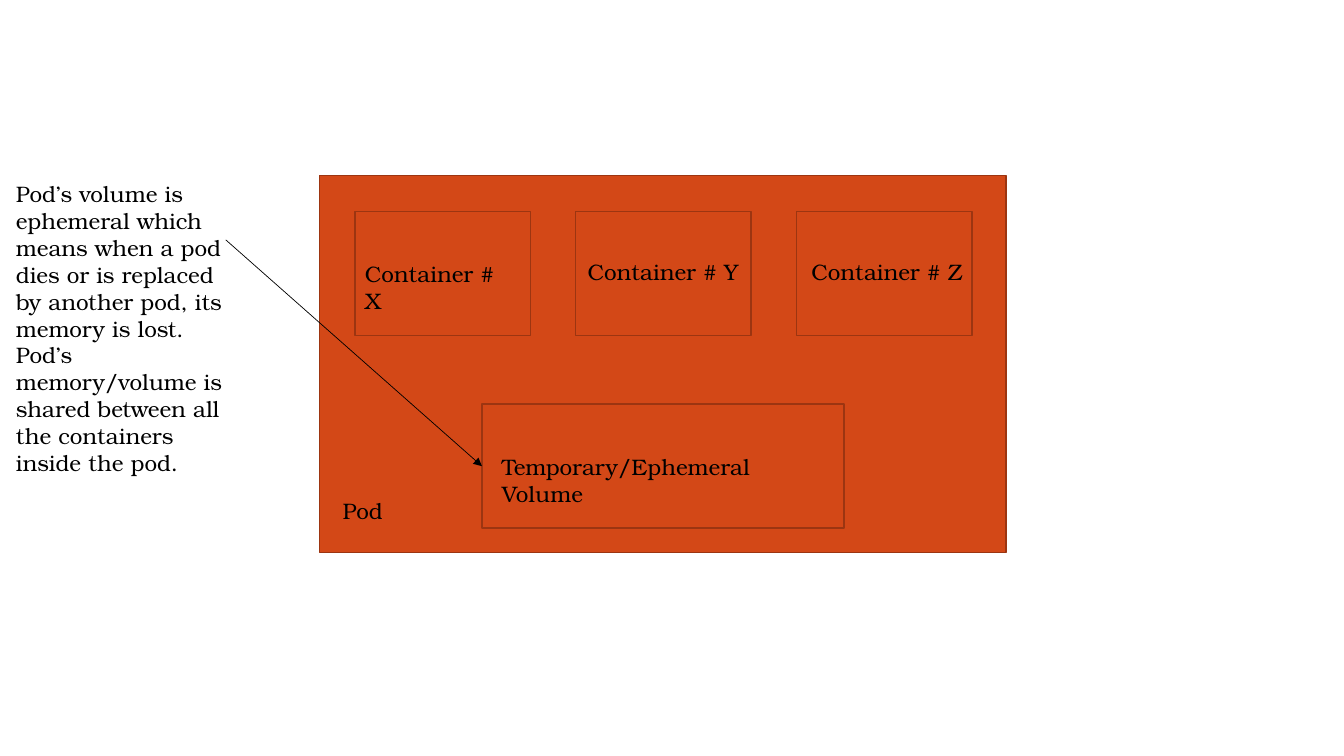
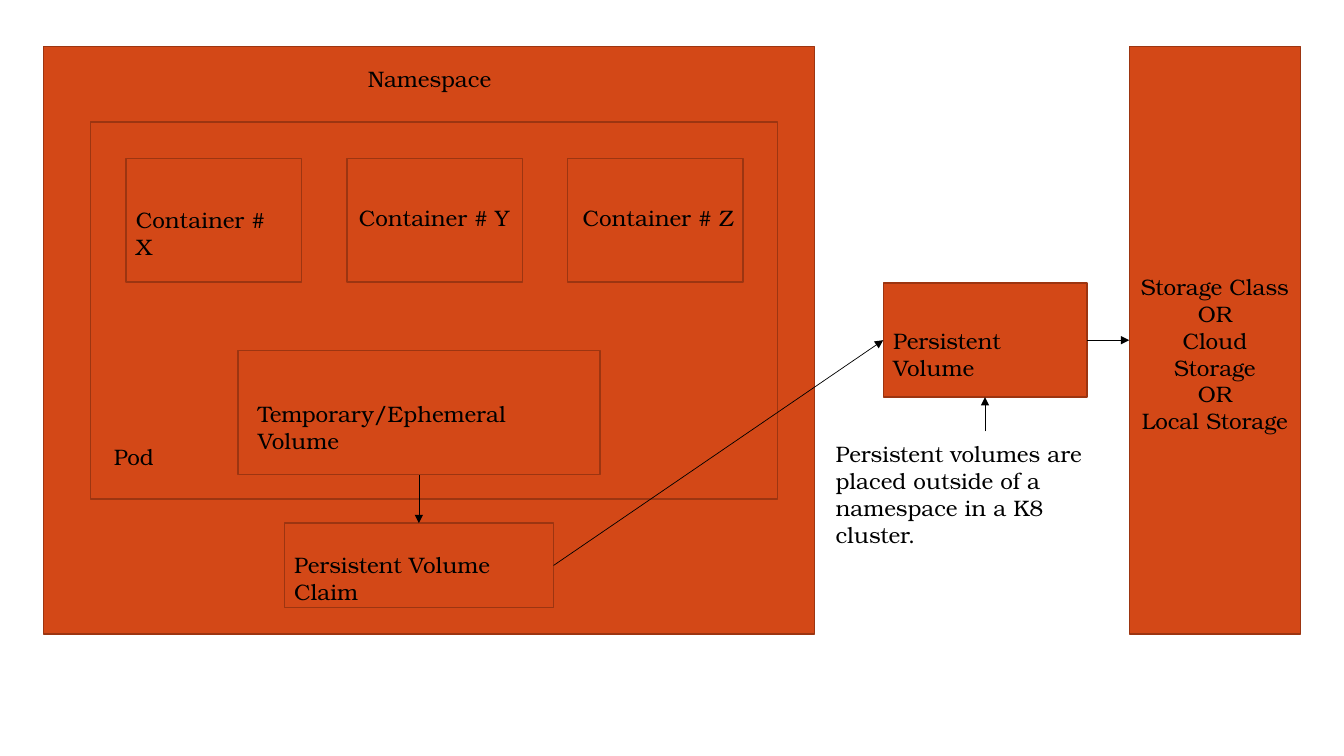
from dataclasses import dataclass

from lxml import etree
from pptx import Presentation
from pptx.dml.color import RGBColor
from pptx.enum.shapes import MSO_CONNECTOR, MSO_SHAPE
from pptx.enum.text import MSO_ANCHOR, MSO_AUTO_SIZE, PP_ALIGN
from pptx.oxml.ns import qn
from pptx.util import Inches, Pt

RECT = MSO_SHAPE.RECTANGLE
STRAIGHT = MSO_CONNECTOR.STRAIGHT
TOP = MSO_ANCHOR.TOP
GROW = MSO_AUTO_SIZE.SHAPE_TO_FIT_TEXT
LEFT, CENTER = PP_ALIGN.LEFT, PP_ALIGN.CENTER

# Connection sites of a rectangle
SITE_TOP, SITE_LEFT, SITE_BOTTOM, SITE_RIGHT = range(4)


@dataclass(frozen=True)
class Theme:
    fill: RGBColor = RGBColor(0xD3, 0x48, 0x17)
    edge: RGBColor = RGBColor(0x9C, 0x35, 0x11)
    ink: RGBColor = RGBColor(0, 0, 0)
    font: str = "TeX Gyre Bonum"
    size: Pt = Pt(16)
    edge_width: Pt = Pt(1)
    arrow_width: Pt = Pt(0.5)
    label_height: float = 0.37


THEME = Theme()


# Basic parts
def add_box(s, x, y, w, h):
    sp = s.shapes.add_shape(RECT, Inches(x), Inches(y), Inches(w), Inches(h))
    sp.shadow.inherit = False
    sp.fill.solid()
    sp.fill.fore_color.rgb = THEME.fill
    sp.line.color.rgb = THEME.edge
    sp.line.width = THEME.edge_width
    return sp


def add_label(s, text, x, y, w, h=THEME.label_height, align=LEFT):
    sp = s.shapes.add_textbox(Inches(x), Inches(y), Inches(w), Inches(h))
    tf = sp.text_frame
    tf.word_wrap = True
    tf.auto_size = GROW
    tf.vertical_anchor = TOP
    p = tf.paragraphs[0]
    p.alignment = align
    for i, line in enumerate(text.split("\n")):
        if i:
            p.add_line_break()
        r = p.add_run()
        r.text = line
        r.font.name = THEME.font
        r.font.size = THEME.size
        r.font.color.rgb = THEME.ink
    p.font.size = THEME.size
    return sp


def add_arrow(s, target, target_site, source=None, source_site=None, start=(0, 0)):
    """Arrow into a box, from another box or from a free start point."""
    x, y = (Inches(v) for v in start)
    line = s.shapes.add_connector(STRAIGHT, x, y, x, y)
    if source is not None:
        line.begin_connect(source, source_site)
    line.end_connect(target, target_site)
    line.line.color.rgb = THEME.ink
    line.line.width = THEME.arrow_width
    ln = line.line._get_or_add_ln()
    etree.SubElement(ln, qn("a:tailEnd"), type="triangle")
    etree.SubElement(line._element.spPr, qn("a:effectLst"))
    return line


# Pod with its containers and its volume
def add_pod(s, x, y, volume_dx):
    add_box(s, x, y, 6.81, 3.74)
    volume_x, volume_y = x + volume_dx, y + 2.27
    volume = add_box(s, volume_x, volume_y, 3.59, 1.23)

    # name, label offset inside the container, label width
    containers = [
        ("X", 0, 0.43, 1.68),
        ("Y", 0.02, 0.41, 1.72),
        ("Z", 0.05, 0.41, 1.72),
    ]
    for i, (name, dx, dy, w) in enumerate(containers):
        left, top = x + 0.35 + i * 2.19, y + 0.36
        add_box(s, left, top, 1.74, 1.23)
        add_label(s, f"Container # {name}", left + dx, top + dy, w)

    add_label(s, "Pod", x + 0.13, y + 3.14, 0.69)
    add_label(s, "Temporary/Ephemeral Volume", volume_x + 0.1, volume_y + 0.44, 3.4)
    return volume


# Namespace with the pod and its claim
def add_namespace(s, x, y):
    add_box(s, x, y, 7.65, 5.83)
    add_label(s, "Namespace", x + 3.12, y + 0.14, 1.43)
    volume = add_pod(s, x + 0.47, y + 0.75, volume_dx=1.46)
    claim_x, claim_y = x + 2.39, y + 4.73
    claim = add_box(s, claim_x, claim_y, 2.67, 0.84)
    add_label(s, "Persistent Volume Claim", claim_x, claim_y + 0.23, 2.67)
    add_arrow(s, claim, SITE_TOP, volume, SITE_BOTTOM)
    return claim


# Persistent volume with the note under it
def add_persistent_volume(s, x, y):
    box = add_box(s, x, y, 2.02, 1.13)
    add_label(s, "Persistent Volume", x, y + 0.39, 2.02)
    add_label(
        s,
        "Persistent volumes are placed outside of a namespace in a K8 cluster.",
        x - 0.57, y + 1.51, 2.93, 0.91,
    )
    add_arrow(s, box, SITE_BOTTOM, start=(x + 1.01, y + 1.47))
    return box


# Storage column
def add_storage(s, x, y):
    box = add_box(s, x, y, 1.7, 5.83)
    add_label(
        s,
        "Storage Class\nOR\nCloud Storage\nOR\nLocal Storage",
        x, y + 2.2, 1.7, 1.45, CENTER,
    )
    return box


# Slides
def ephemeral_slide(s):
    volume = add_pod(s, 3.17, 1.74, volume_dx=1.61)
    add_arrow(s, volume, SITE_LEFT, start=(2.24, 2.38))
    add_label(
        s,
        "Pod’s volume is ephemeral which means when a pod dies or is replaced "
        "by another pod, its memory is lost. Pod’s memory/volume is shared "
        "between all the containers inside the pod.",
        0.06, 1.74, 2.34, 2.79,
    )


def persistent_slide(s):
    top = 0.46
    claim = add_namespace(s, 0.43, top)
    storage = add_storage(s, 11.2, top)
    persistent = add_persistent_volume(s, 8.76, 2.81)
    add_arrow(s, persistent, SITE_LEFT, claim, SITE_RIGHT)
    add_arrow(s, storage, SITE_LEFT, persistent, SITE_RIGHT)


def main():
    prs = Presentation()
    prs.slide_width, prs.slide_height = Inches(13.33), Inches(7.5)
    blank = prs.slide_layouts[6]
    for build in (ephemeral_slide, persistent_slide):
        build(prs.slides.add_slide(blank))
    prs.save("out.pptx")


if __name__ == "__main__":
    main()
